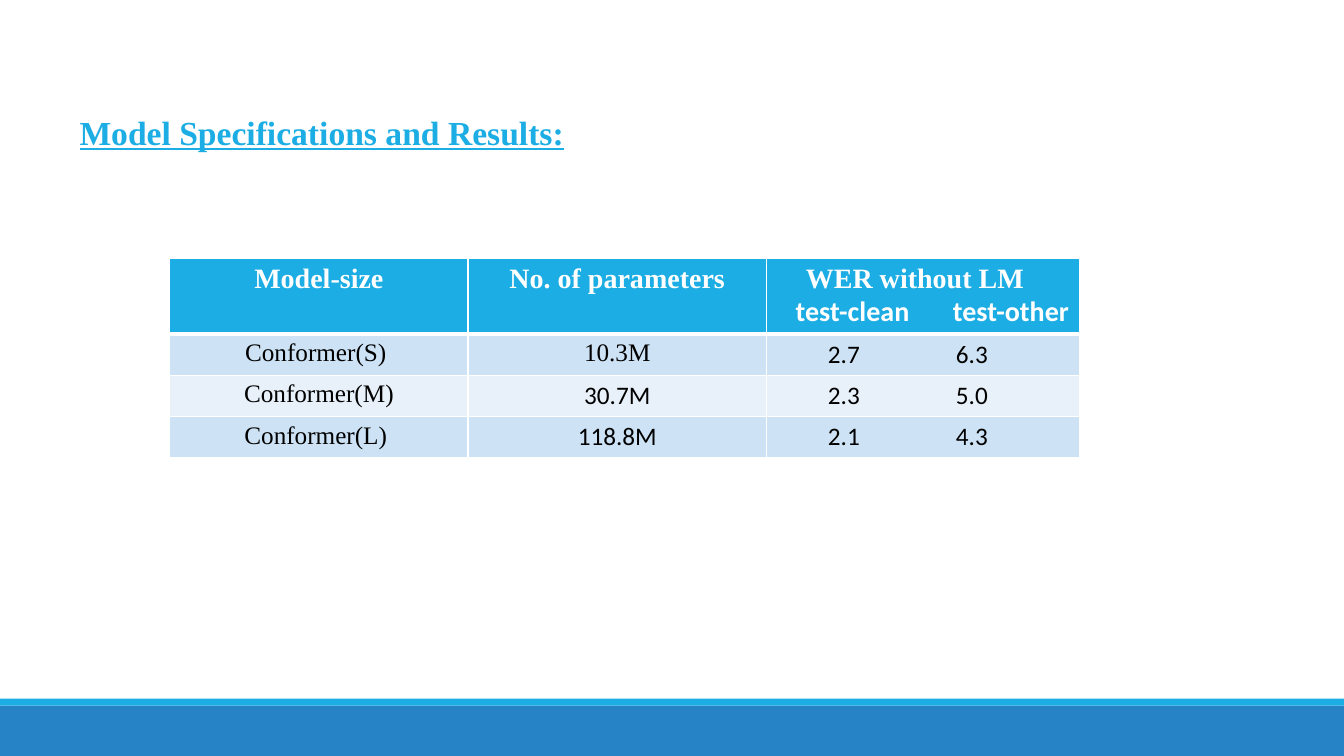
from pptx import Presentation
from pptx.dml.color import RGBColor
from pptx.enum.shapes import MSO_SHAPE
from pptx.enum.text import PP_ALIGN
from pptx.oxml import parse_xml
from pptx.oxml.ns import nsdecls
from pptx.util import Inches, Pt

INK = {"sky": "1CADE4", "blue": "2683C6", "white": "FFFFFF",
       "black": "000000", "band": "CDE3F5", "pale": "E8F1FA"}
SERIF, SANS = "Times New Roman", "Calibri"


class Deck:
    """Style and current slide; lengths are percent of the slide's size."""

    def __init__(self):
        self.prs = Presentation()
        self.prs.slide_width, self.prs.slide_height = Inches(13.333), Inches(7.5)
        self.slide = self.prs.slides.add_slide(self.prs.slide_layouts[6])

    def col(self, share):
        return int(self.prs.slide_width * share / 100)

    def row(self, share):
        return int(self.prs.slide_height * share / 100)

    def box(self, x, y, w, h):
        return self.col(x), self.row(y), self.col(w), self.row(h)

    def color(self, name):
        return RGBColor.from_string(INK[name])

    def bar(self, y, h, ink):
        bar = self.slide.shapes.add_shape(MSO_SHAPE.RECTANGLE, *self.box(0, y, 100, h))
        bar.shadow.inherit = False
        bar.fill.solid()
        bar.fill.fore_color.rgb = self.color(ink)
        bar.line.fill.background()

    def run(self, para, text, face, size, ink, bold=False, under=False):
        run = para.add_run()
        run.text = text
        font = run.font
        font.name, font.size, font.bold, font.underline = face, Pt(size), bold, under
        font.color.rgb = self.color(ink)

    def title(self, text, *area):
        frame = self.slide.shapes.add_textbox(*self.box(*area)).text_frame
        frame.word_wrap = True
        self.run(frame.paragraphs[0], text, SERIF, 24, "sky", True, True)

    def tabs(self, para, stops):
        marks = "".join(f'<a:tab pos="{Inches(stop)}" algn="l"/>' for stop in stops)
        props = para._p.get_or_add_pPr()
        props.append(parse_xml(f'<a:tabLst {nsdecls("a")}>{marks}</a:tabLst>'))

    def edge(self, cell, top, low):
        props = cell._tc.get_or_add_tcPr()
        widths = {"lnL": 1, "lnR": 1, "lnT": top, "lnB": low}
        for spot, (tag, width) in enumerate(widths.items()):
            props.insert(spot, parse_xml(
                f'<a:{tag} {nsdecls("a")} w="{Pt(width)}"><a:solidFill>'
                f'<a:srgbClr val="{INK["white"]}"/></a:solidFill></a:{tag}>'))

    def cell(self, cell, lines, head, fill):
        """Each line is (text, face, tab stops); a line with no stops is centred."""
        size, ink = (20, "white") if head else (18, "black")
        cell.fill.solid()
        cell.fill.fore_color.rgb = self.color(fill)
        frame = cell.text_frame
        for num, (text, face, stops) in enumerate(lines):
            para = frame.add_paragraph() if num else frame.paragraphs[0]
            if stops:
                self.tabs(para, stops)
                cell.margin_right = Inches(0.02)
            else:
                para.alignment = PP_ALIGN.CENTER
            self.run(para, text, face, size, ink, head)

    def table(self, x, y, cols, rows, data):
        area = self.box(x, y, sum(cols), sum(rows))
        grid = self.slide.shapes.add_table(len(rows), len(cols), *area).table
        for num, share in enumerate(cols):
            grid.columns[num].width = self.col(share)
        for num, share in enumerate(rows):
            grid.rows[num].height = self.row(share)
            fill = "sky" if num == 0 else ("pale", "band")[num % 2]
            for spot, lines in enumerate(data[num]):
                cell = grid.cell(num, spot)
                self.cell(cell, lines, num == 0, fill)
                self.edge(cell, 3 if num == 1 else 1, 3 if num == 0 else 1)


def main():
    deck = Deck()

    # Footer bars
    deck.bar(93.33, 6.67, "blue")
    deck.bar(92.4, 0.93, "sky")

    # Results table
    head = [[("Model-size", SERIF, ())],
            [("No. of parameters", SERIF, ())],
            [("\tWER without LM", SERIF, (0.29,)),
             ("\ttest-clean\ttest-other", SANS, (0.19, 1.75))]]
    models = [("Conformer(S) ", "10.3M", SERIF, "2.7", "6.3"),
              (" Conformer(M) ", "30.7M", SANS, "2.3", "5.0"),
              ("Conformer(L) ", "118.8M", SANS, "2.1", "4.3")]
    body = [[[(name, SERIF, ())], [(count, face, ())],
             [(f"\t{clean}\t{other}", SANS, (0.51, 1.78))]]
            for name, count, face, clean, other in models]
    deck.table(12.63, 34.2, (22.2, 22.2, 23.33), (9.87, 5.47, 5.47, 5.47),
               [head] + body)

    # Title
    deck.title("Model Specifications and Results:", 5.18, 14.13, 60.98, 6.67)

    deck.prs.save("out.pptx")


if __name__ == "__main__":
    main()
